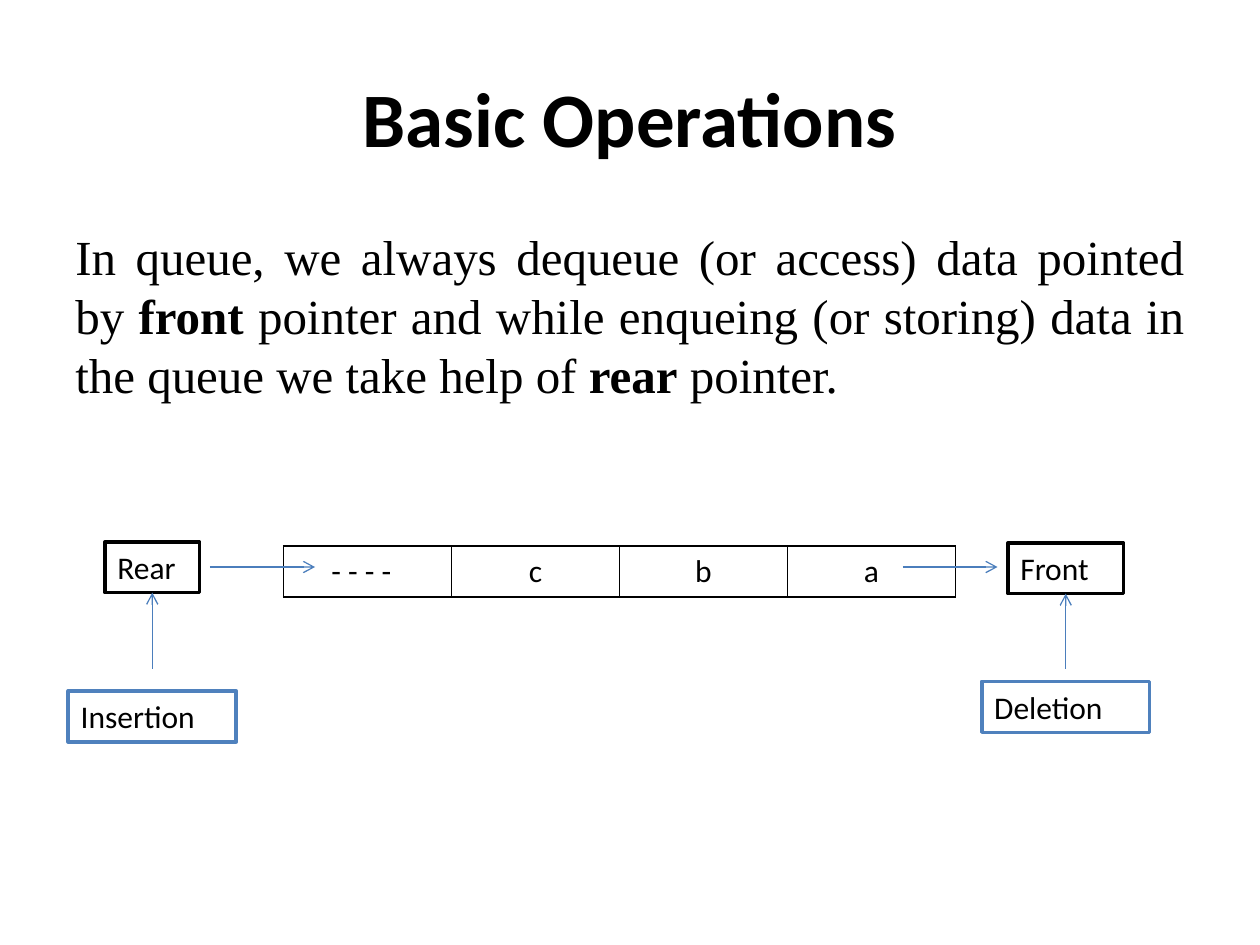
from lxml import etree
from pptx import Presentation
from pptx.dml.color import RGBColor
from pptx.enum.shapes import MSO_CONNECTOR, MSO_SHAPE
from pptx.enum.text import MSO_ANCHOR, PP_ALIGN
from pptx.oxml.ns import qn
from pptx.util import Inches, Pt

BLACK = RGBColor(0x00, 0x00, 0x00)
WHITE = RGBColor(0xFF, 0xFF, 0xFF)
BLUE = RGBColor(0x4F, 0x81, 0xBD)
ARROW_BLUE = RGBColor(0x4B, 0x7E, 0xBC)
LEFT, CENTER, JUSTIFY = PP_ALIGN.LEFT, PP_ALIGN.CENTER, PP_ALIGN.JUSTIFY
MIDDLE, TOP = MSO_ANCHOR.MIDDLE, MSO_ANCHOR.TOP
RECTANGLE, STRAIGHT = MSO_SHAPE.RECTANGLE, MSO_CONNECTOR.STRAIGHT
BOTTOM_SIDE = 2

deck = Presentation()
deck.slide_width, deck.slide_height = Inches(10), Inches(7.5)
page = deck.slides.add_slide(deck.slide_layouts[6])
UNIT = deck.slide_width / 120  # square grid of 120 columns by 90 rows
BOX_ROWS = 4.85


def grid(*counts):
    return [round(count * UNIT) for count in counts]


def style(para, size, font="Calibri", align=LEFT):
    para.alignment = align
    for span in para.runs:
        span.font.size, span.font.name = Pt(size), font
        span.font.color.rgb = BLACK


# Title
title = page.shapes.add_textbox(*grid(6, 3.6, 108, 15)).text_frame
title.word_wrap, title.vertical_anchor = True, MIDDLE
title.text = "Basic Operations"
style(title.paragraphs[0], 44, align=CENTER)
title.paragraphs[0].runs[0].font.bold = True

# Explanation, with the pointer names in bold
body = page.shapes.add_textbox(*grid(6, 21, 108, 59.4)).text_frame
body.word_wrap, body.vertical_anchor = True, TOP
para = body.paragraphs[0]
para.space_before = Pt(5.6)
for text, bold in [
    ("In queue, we always dequeue (or access) data pointed by ", False),
    ("front", True),
    (" pointer and while enqueing (or storing) data in the queue we take help of ", False),
    ("rear", True),
    (" pointer.", False),
]:
    span = para.add_run()
    span.text, span.font.bold = text, bold
style(para, 28, "Times New Roman", JUSTIFY)

# Queue cells
items = ["- - - -", "c", "b", "a"]
queue = page.shapes.add_table(1, len(items), *grid(27, 52, 64, BOX_ROWS)).table
queue.first_row = queue.horz_banding = False
for cell, text in zip(queue.rows[0].cells, items):
    cell.text = text
    style(cell.text_frame.paragraphs[0], 18, align=CENTER)
    properties = cell._tc.get_or_add_tcPr()
    for side in ("a:lnL", "a:lnR", "a:lnT", "a:lnB"):
        border = etree.SubElement(properties, qn(side), w=str(Pt(1)))
        paint = etree.SubElement(border, qn("a:solidFill"))
        etree.SubElement(paint, qn("a:srgbClr"), val=str(BLACK))
    cell.fill.background()
queue.cell(0, 0).text_frame.paragraphs[0].alignment = LEFT
queue.cell(0, 0).margin_left = Inches(0.38)

# Pointer and operation boxes
boxes = {}
for text, column, row, columns, color in [
    ("Front", 96, 51.7, 11, BLACK),
    ("Rear", 10, 51.6, 9, BLACK),
    ("Insertion", 6.5, 65.8, 16, BLUE),
    ("Deletion", 93.5, 64.9, 16, BLUE),
]:
    box = page.shapes.add_shape(RECTANGLE, *grid(column, row, columns, BOX_ROWS))
    box.shadow.inherit = False
    box.fill.solid()
    box.fill.fore_color.rgb = WHITE
    box.line.color.rgb, box.line.width = color, Pt(2)
    box.text_frame.text = text
    box.text_frame.word_wrap, box.text_frame.vertical_anchor = True, TOP
    style(box.text_frame.paragraphs[0], 18)
    boxes[text] = box

# Arrows through the queue and up to the pointers
for start_x, start_y, end_x, end_y, target in [
    (86, 54, 95, 54, None),
    (20, 54, 30, 54, None),
    (14.5, 63.7, 14.5, 56.7, "Rear"),
    (101.5, 63.7, 101.5, 56.7, "Front"),
]:
    arrow = page.shapes.add_connector(STRAIGHT, *grid(start_x, start_y, end_x, end_y))
    if target:
        arrow.end_connect(boxes[target], BOTTOM_SIDE)
    arrow.line.color.rgb, arrow.line.width = ARROW_BLUE, Pt(0.75)
    etree.SubElement(arrow.line._get_or_add_ln(), qn("a:tailEnd"), type="arrow")
    etree.SubElement(arrow._element.spPr, qn("a:effectLst"))

deck.save("out.pptx")
